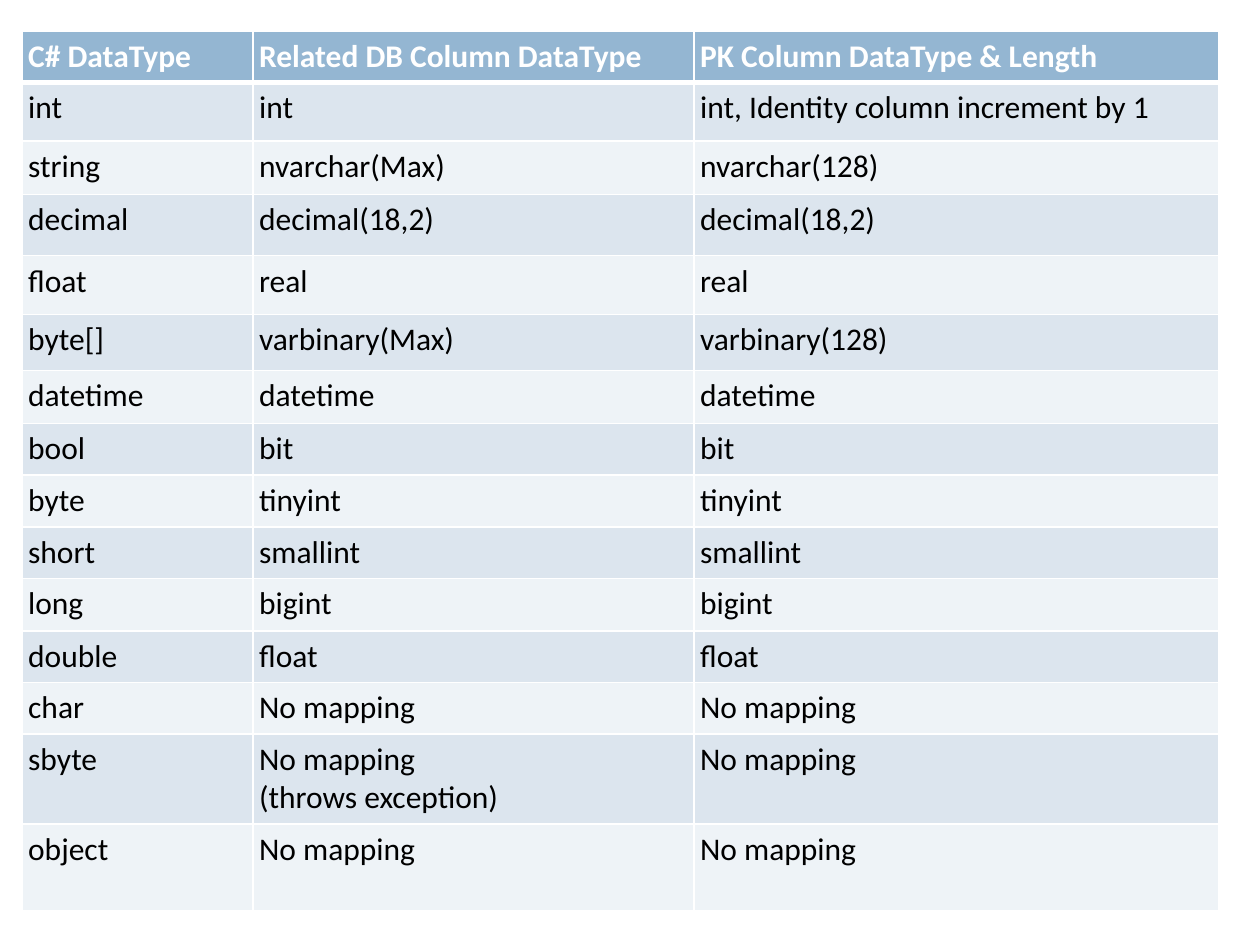
from lxml import etree
from pptx import Presentation
from pptx.dml.color import RGBColor
from pptx.oxml.ns import qn
from pptx.util import Pt

WHITE = RGBColor(0xFF, 0xFF, 0xFF)
BLACK = RGBColor(0x00, 0x00, 0x00)
HEADER_BLUE = RGBColor(0x94, 0xB6, 0xD2)
DARK_BAND = RGBColor(0xDC, 0xE5, 0xEE)
LIGHT_BAND = RGBColor(0xEE, 0xF3, 0xF7)

COLUMN_WIDTHS = (132, 252, 300)
TYPE_ROWS = (
    (29, "C# DataType", "Related DB Column DataType", "PK Column DataType & Length"),
    (33.5, "int", "int", "int, Identity column increment by 1"),
    (30.5, "string", "nvarchar(Max)", "nvarchar(128)"),
    (35, "decimal", "decimal(18,2)", "decimal(18,2)"),
    (33.5, "float", "real", "real"),
    (32, "byte[]", "varbinary(Max)", "varbinary(128)"),
    (30.5, "datetime", "datetime", "datetime"),
    (29.5, "bool", "bit", "bit"),
    (29.5, "byte", "tinyint", "tinyint"),
    (29.5, "short", "smallint", "smallint"),
    (30, "long", "bigint", "bigint"),
    (29.5, "double", "float", "float"),
    (29.5, "char", "No mapping", "No mapping"),
    (51.5, "sbyte", "No mapping\v(throws exception)", "No mapping"),
    (49.5, "object", "No mapping", "No mapping"),
)


class TablePage:
    font_name = "Calibri"
    font_size = Pt(18)
    inset = Pt(3.6)
    border_color = WHITE

    def __init__(self, page):
        self.page = page

    def table(self, left, top, widths, rows):
        heights = [height for height, *_ in rows]
        frame = self.page.shapes.add_table(
            len(rows), len(widths), Pt(left), Pt(top), Pt(sum(widths)), Pt(sum(heights))
        )
        table = frame.table
        for column, width in zip(table.columns, widths):
            column.width = Pt(width)
        for index, (height, *texts) in enumerate(rows):
            table.rows[index].height = Pt(height)
            for cell, text in zip(table.rows[index].cells, texts):
                self.cell(cell, text, index)

    def cell(self, cell, text, row_index):
        is_header = row_index == 0
        cell.margin_left = cell.margin_right = self.inset
        cell.margin_top = cell.margin_bottom = self.inset
        self.borders(cell, top=3 if row_index == 1 else 1, bottom=3 if is_header else 1)
        band = DARK_BAND if row_index % 2 else LIGHT_BAND
        cell.fill.solid()
        cell.fill.fore_color.rgb = HEADER_BLUE if is_header else band
        cell.text_frame.text = text
        for paragraph in cell.text_frame.paragraphs:
            for span in paragraph.runs:
                span.font.name = self.font_name
                span.font.size = self.font_size
                span.font.bold = is_header
                span.font.color.rgb = WHITE if is_header else BLACK

    def borders(self, cell, top, bottom):
        properties = cell._tc.get_or_add_tcPr()
        for side, width in (("L", 1), ("R", 1), ("T", top), ("B", bottom)):
            line = etree.SubElement(properties, qn(f"a:ln{side}"), w=str(Pt(width)))
            fill = etree.SubElement(line, qn("a:solidFill"))
            etree.SubElement(fill, qn("a:srgbClr"), val=str(self.border_color))


def main():
    deck = Presentation()
    deck.slide_width, deck.slide_height = Pt(720), Pt(540)
    blank_layout = deck.slide_layouts[6]
    page = TablePage(deck.slides.add_slide(blank_layout))
    page.table(12.5, 18, COLUMN_WIDTHS, TYPE_ROWS)
    deck.save("out.pptx")


if __name__ == "__main__":
    main()
